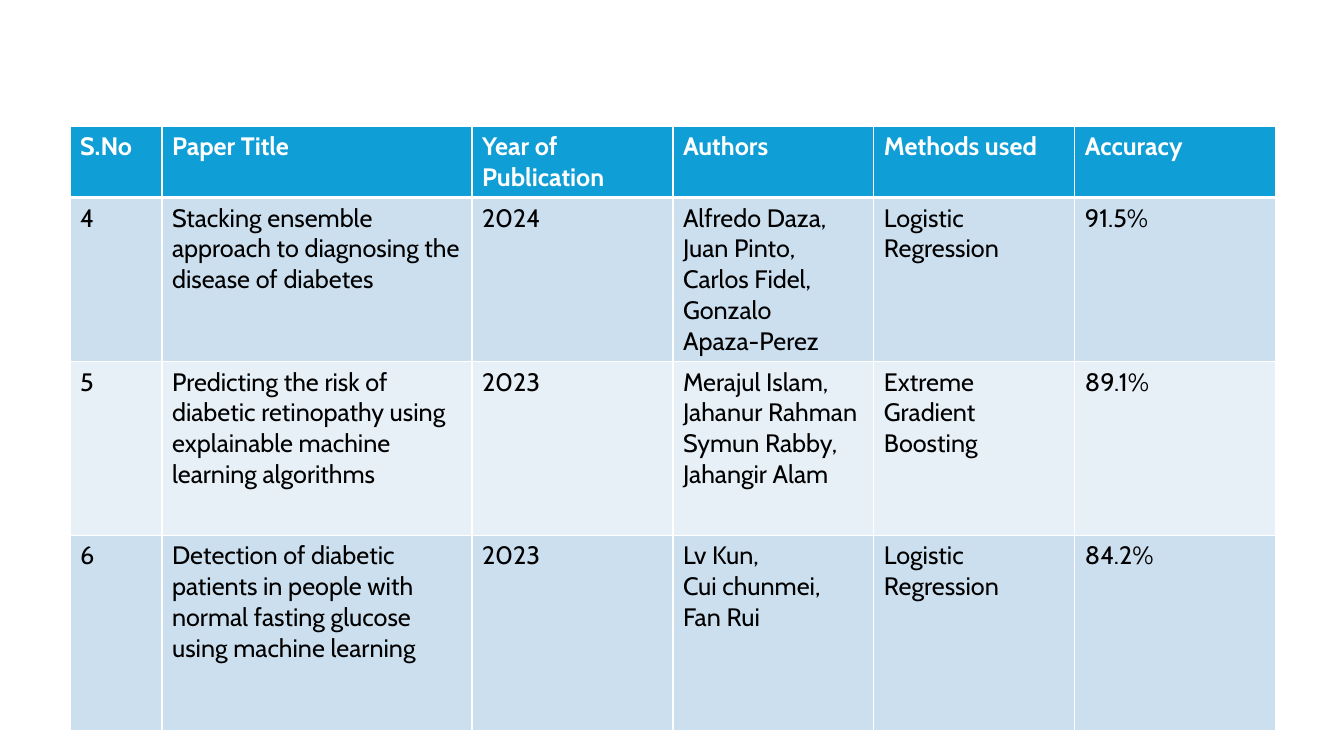
from lxml import etree
from pptx import Presentation
from pptx import util as u
from pptx.dml import color
from pptx.oxml import ns

HUES = {"head": "0F9ED5", "dark": "CCDFEF", "light": "E7F0F7",
        "white": "FFFFFF", "ink": "000000"}

ROWS = [
    ["S.No", "Paper Title", "Year of Publication", "Authors",
     "Methods used", "Accuracy"],
    ["4", "Stacking ensemble approach to diagnosing the disease of diabetes",
     "2024", "Alfredo Daza,\nJuan Pinto, Carlos Fidel, Gonzalo\nApaza-Perez",
     "Logistic Regression", "91.5%"],
    ["5", "Predicting the risk of diabetic retinopathy using explainable "
     "machine learning algorithms",
     "2023", "Merajul Islam, Jahanur Rahman Symun Rabby, Jahangir Alam",
     "Extreme Gradient Boosting", "89.1%"],
    ["6", "Detection of diabetic patients in people with normal fasting "
     "glucose using machine learning",
     "2023", "Lv Kun,\nCui chunmei,\nFan Rui",
     "Logistic Regression", "84.2%"],
]
WIDTHS = [92, 310] + [201] * 4
HEIGHTS = [71, 164, 174, 195]


class Deck:
    font = "Cabin"
    size = 18
    scale = 12192000 / 1344

    def __init__(self, width, height):
        self.prs = Presentation()
        self.prs.slide_width = self.px(width)
        self.prs.slide_height = self.px(height)
        self.slide = self.prs.slides.add_slide(self.prs.slide_layouts[6])

    def px(self, count):
        return u.Emu(round(count * self.scale))

    def hue(self, name):
        return color.RGBColor.from_string(HUES[name])

    def edge(self, cell, side, width):
        props = cell._tc.get_or_add_tcPr()
        line = etree.SubElement(props, ns.qn("a:ln" + side), w=str(u.Pt(width)))
        fill = etree.SubElement(line, ns.qn("a:solidFill"))
        etree.SubElement(fill, ns.qn("a:srgbClr"), val=HUES["white"])

    def cell(self, cell, words, fill, ink, bold, top, bottom):
        for side, width in zip("LRTB", (1, 1, top, bottom)):
            self.edge(cell, side, width)
        cell.fill.solid()
        cell.fill.fore_color.rgb = self.hue(fill)
        cell.text_frame.text = words
        for para in cell.text_frame.paragraphs:
            for run in para.runs:
                run.font.name = self.font
                run.font.size = u.Pt(self.size)
                run.font.bold = bold
                run.font.color.rgb = self.hue(ink)

    def table(self, left, top, widths, heights, rows):
        grid = self.slide.shapes.add_table(
            len(rows), len(widths), self.px(left), self.px(top),
            self.px(sum(widths)), self.px(sum(heights))).table
        for col, width in zip(grid.columns, widths):
            col.width = self.px(width)
        for r, (row, height) in enumerate(zip(rows, heights)):
            grid.rows[r].height = self.px(height)
            head = r == 0
            fill = "head" if head else "dark" if r % 2 else "light"
            for c, words in enumerate(row):
                self.cell(grid.cell(r, c), words, fill,
                          "white" if head else "ink", head,
                          3 if r == 1 else 1, 3 if head else 1)


def main():
    deck = Deck(1344, 756)
    deck.table(70, 126, WIDTHS, HEIGHTS, ROWS)
    deck.prs.save("out.pptx")


if __name__ == "__main__":
    main()
